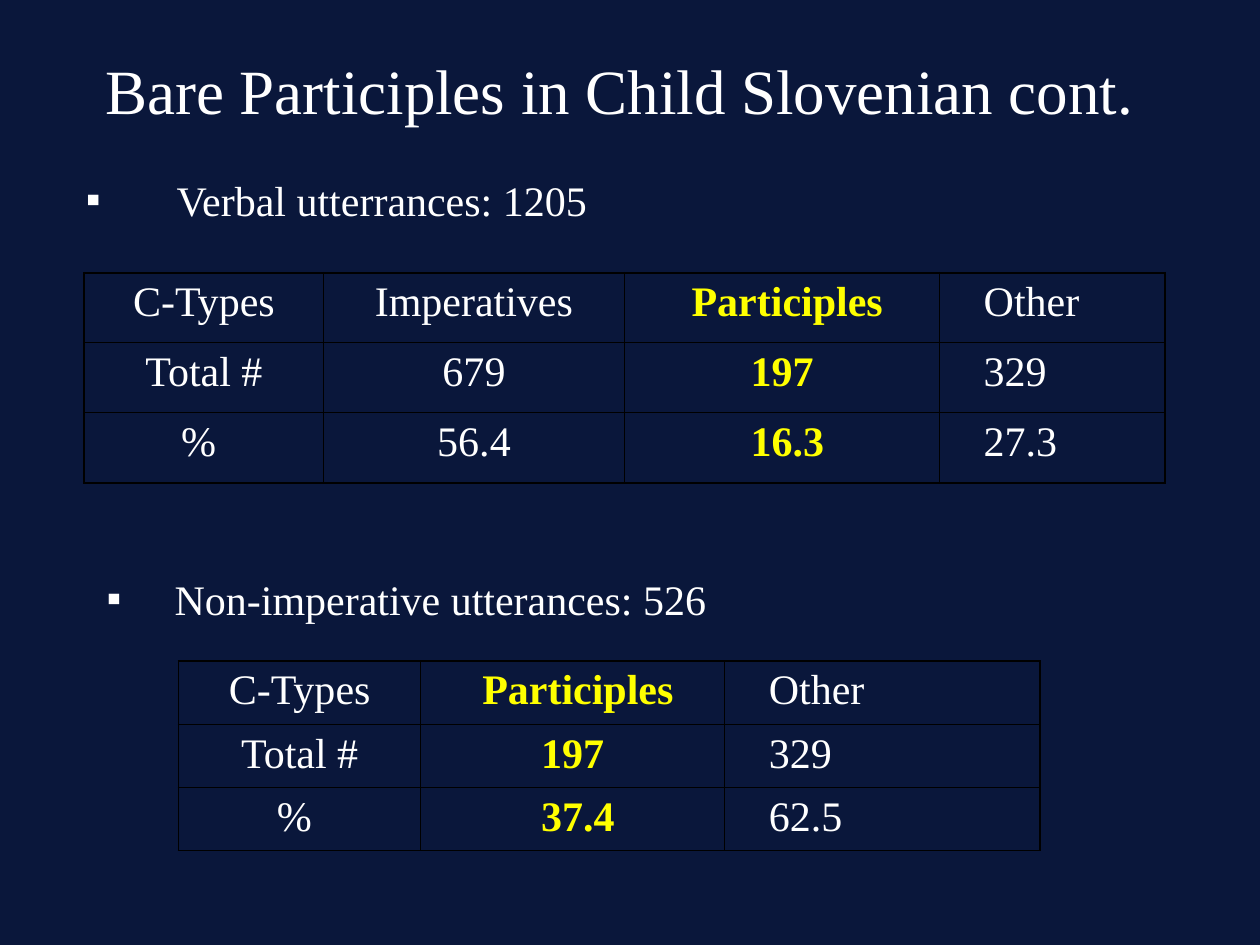
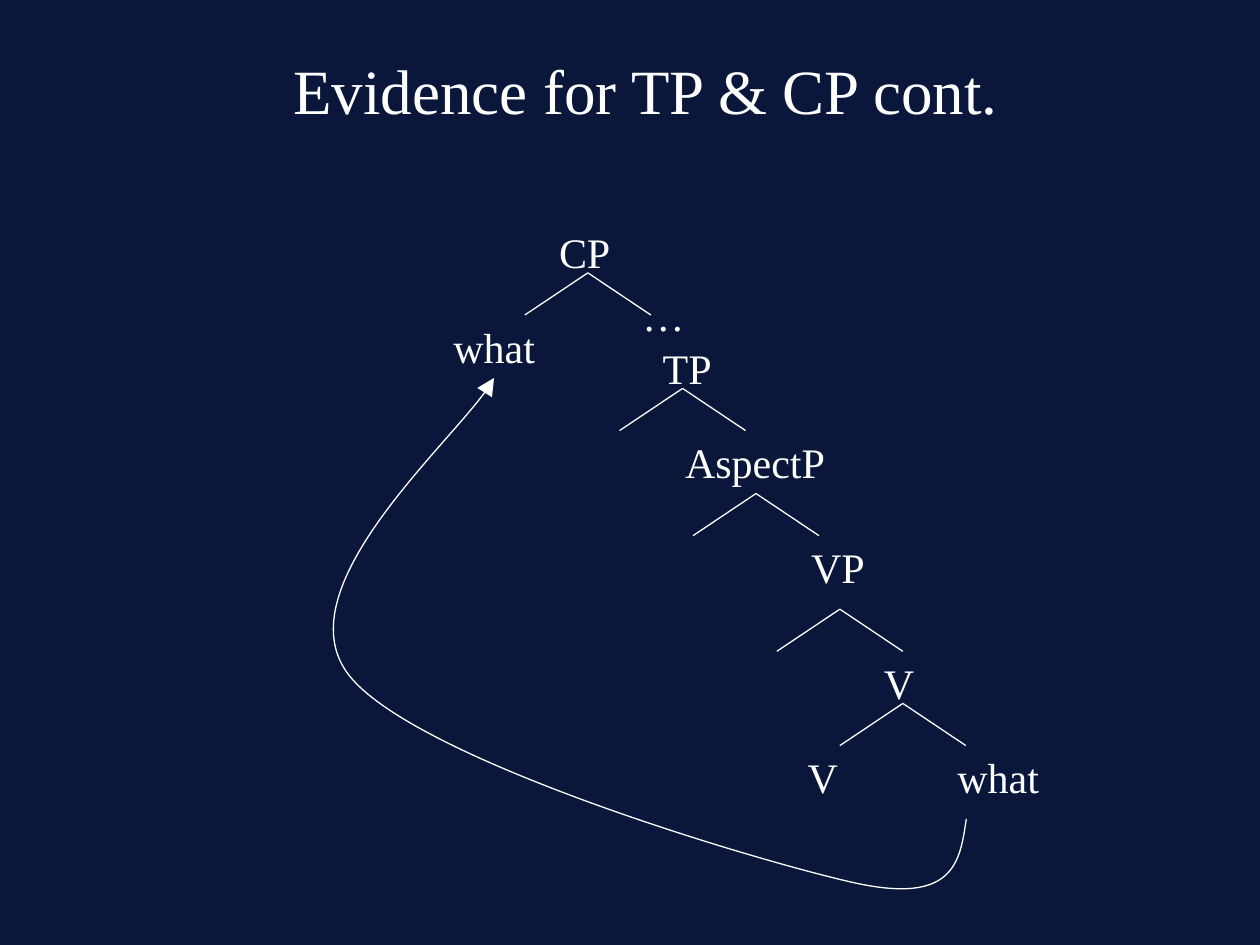
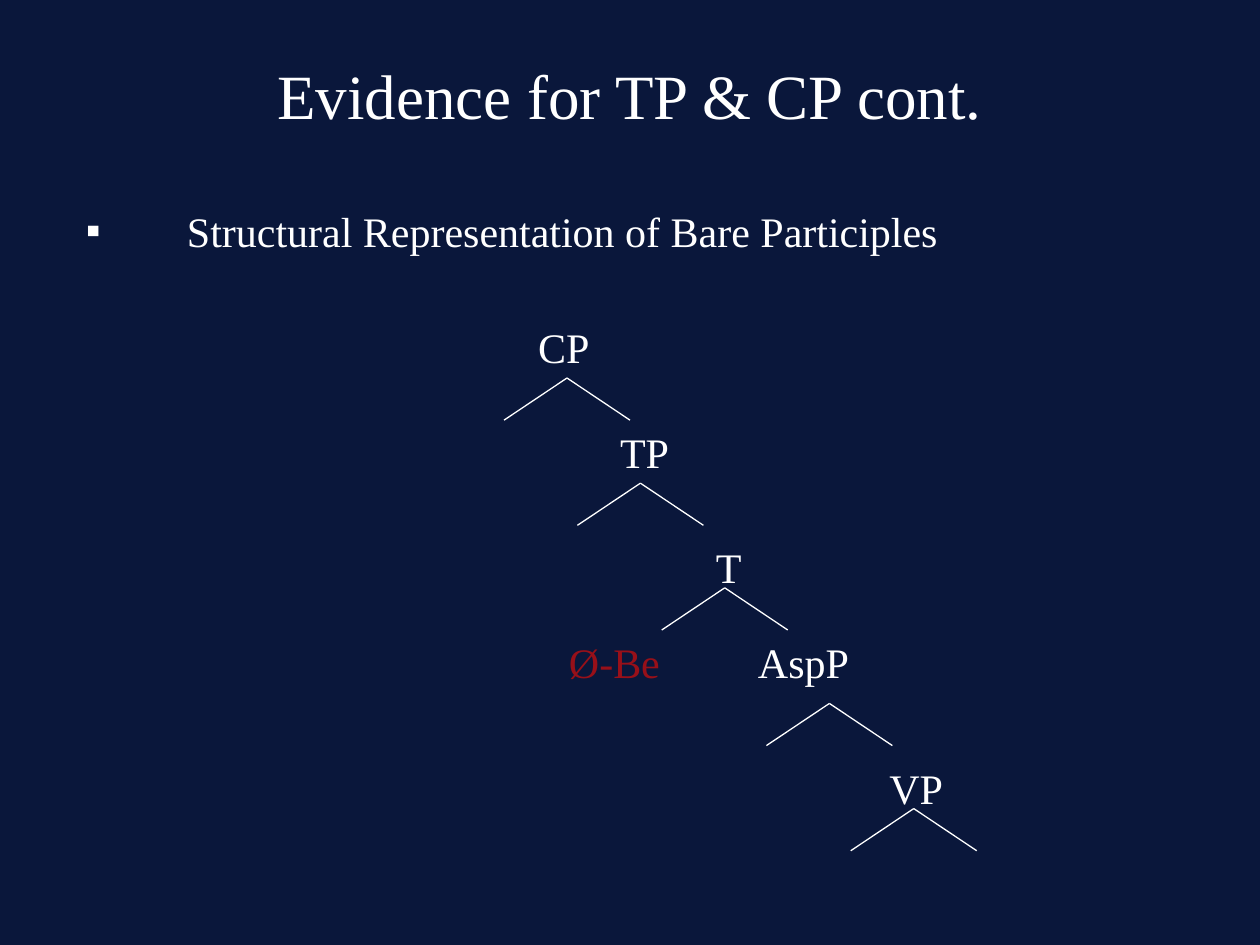
from dataclasses import dataclass

from lxml import etree
from pptx import Presentation
from pptx.dml.color import RGBColor
from pptx.enum.shapes import MSO_CONNECTOR
from pptx.enum.text import MSO_ANCHOR, MSO_AUTO_SIZE, PP_ALIGN
from pptx.oxml.ns import qn
from pptx.util import Cm, Pt

STRAIGHT = MSO_CONNECTOR.STRAIGHT
MIDDLE = MSO_ANCHOR.MIDDLE
FIT_SHAPE = MSO_AUTO_SIZE.SHAPE_TO_FIT_TEXT
LEFT, CENTER = PP_ALIGN.LEFT, PP_ALIGN.CENTER


@dataclass(frozen=True)
class Theme:
    """Colours, type sizes and line widths of the deck."""
    background: str = "0A173B"
    text: str = "FFFFFF"
    highlight: str = "FFFF00"
    omitted: str = "981019"
    border: str = "000000"
    font: str = "Times New Roman"
    title_size: int = 36
    body_size: int = 24
    line_width: float = 0.75
    inner_border: float = 0.45
    outer_border: float = 1.08


THEME = Theme()
BLANK_LAYOUT = 6
LABEL_HEIGHT = 1.27
LABEL_WIDTHS = {
    "CP": 1.55, "TP": 1.5, "T": 1.01, "VP": 1.62, "V": 1.12, "AspP": 2.34,
    "AspectP": 3.33, "what": 2.16, "…": 1.35, "Ø-Be": 2.34,
}
BRANCH_REACH, BRANCH_DROP = 1.27, 0.85
OTHER_INDENT = 0.89

UTTERANCE_ROWS = [
    ["C-Types", "Imperatives", " Participles", "Other"],
    ["Total #", "679", "197", "329"],
    ["% ", "56.4", " 16.3", "27.3"],
]
NON_IMPERATIVE_ROWS = [
    ["C-Types", " Participles", "Other"],
    ["Total #", "197", "329"],
    ["% ", " 37.4", "62.5"],
]
MOVEMENT_APEXES = [(11.85, 5.5), (13.76, 7.83), (15.24, 9.95), (16.93, 12.28), (18.2, 14.18)]
MOVEMENT_LABELS = [
    ("CP", 11.02, 4.45), ("what", 8.89, 6.35), ("…", 12.7, 5.72),
    ("TP", 13.11, 6.77), ("AspectP", 13.56, 8.68), ("VP", 16.1, 10.8),
    ("V", 17.57, 13.12), ("V", 16.03, 15.03), ("what", 19.05, 15.03),
]
MOVEMENT_CURVE = [
    (19.48, 16.51), (19.35, 17.4), (19.23, 18.26), (17.15, 17.78), (15.06, 17.3),
    (8.18, 15.24), (6.99, 13.55), (5.79, 11.85), (9.45, 8.61), (9.96, 7.62),
]
PARTICIPLE_APEXES = [(11.43, 7.62), (12.91, 9.74), (14.61, 11.85), (16.72, 14.18), (18.42, 16.3)]
PARTICIPLE_LABELS = [
    ("CP", 10.6, 6.35), ("TP", 12.25, 8.47), ("T", 14.18, 10.8),
    ("AspP", 15.03, 12.7), ("VP", 17.68, 15.24),
]


def color(value):
    """Turn a hex string into a colour."""
    return RGBColor.from_string(value)


def write(paragraph, text, size=THEME.body_size, fill=THEME.text, bold=False):
    """Add one styled run to a paragraph."""
    run = paragraph.add_run()
    run.text = text
    run.font.name = THEME.font
    run.font.size = Pt(size)
    run.font.bold = bold
    run.font.color.rgb = color(fill)


def add_text_frame(slide, left, top, width, height):
    """Add a wrapping text box and return its text frame."""
    box = slide.shapes.add_textbox(Cm(left), Cm(top), Cm(width), Cm(height))
    box.text_frame.word_wrap = True
    return box.text_frame


def add_title(slide, text, left, top, height):
    """Add the centred slide title."""
    frame = add_text_frame(slide, left, top, 21.59, height)
    frame.vertical_anchor = MIDDLE
    paragraph = frame.paragraphs[0]
    paragraph.alignment = CENTER
    write(paragraph, text, THEME.title_size)


def add_bullet(slide, text, left, top, width, height, indent):
    """Add a square bullet line with a hanging indent."""
    paragraph = add_text_frame(slide, left, top, width, height).paragraphs[0]
    properties = paragraph._p.get_or_add_pPr()
    properties.set("marL", str(Cm(indent)))
    properties.set("indent", str(-Cm(indent)))
    bullet_color = etree.SubElement(properties, qn("a:buClr"))
    etree.SubElement(bullet_color, qn("a:srgbClr"), val=THEME.text)
    etree.SubElement(properties, qn("a:buFont"), typeface=THEME.font)
    etree.SubElement(properties, qn("a:buChar"), char="▪")
    write(paragraph, text)


def add_label(slide, text, left, top, fill=THEME.text):
    """Add a tree node label."""
    frame = add_text_frame(slide, left, top, LABEL_WIDTHS[text], LABEL_HEIGHT)
    frame.word_wrap = False
    frame.auto_size = FIT_SHAPE
    write(frame.paragraphs[0], text, fill=fill)


def style_line(line):
    """Give a line the tree colour and width."""
    line.color.rgb = color(THEME.text)
    line.width = Pt(THEME.line_width)


def add_branches(slide, x, y):
    """Add the two branches that descend from an apex."""
    for reach in (-BRANCH_REACH, BRANCH_REACH):
        branch = slide.shapes.add_connector(
            STRAIGHT, Cm(x), Cm(y), Cm(x + reach), Cm(y + BRANCH_DROP))
        style_line(branch.line)
        etree.SubElement(branch._element.spPr, qn("a:effectLst"))


def add_tree(slide, apexes, labels):
    """Add a syntax tree from its apexes and labels."""
    for apex in apexes:
        add_branches(slide, *apex)
    for label in labels:
        add_label(slide, *label)


def add_curved_arrow(slide, points):
    """Add an open Bézier arrow from a start and triples of points."""
    start, *rest = [(Cm(x), Cm(y)) for x, y in points]
    builder = slide.shapes.build_freeform(*start)
    builder.add_line_segments(rest, close=False)
    shape = builder.convert_to_shape()
    shape.shadow.inherit = False
    shape.fill.background()
    style_line(shape.line)
    etree.SubElement(shape.line._get_or_add_ln(), qn("a:tailEnd"),
                     type="triangle", w="lg", len="lg")
    segments = shape._element.findall(".//" + qn("a:lnTo"))
    for first in range(0, len(segments), 3):
        curve = etree.Element(qn("a:cubicBezTo"))
        segments[first].addprevious(curve)
        for segment in segments[first:first + 3]:
            curve.append(segment[0])
            segment.getparent().remove(segment)


def set_borders(cell, outer_sides):
    """Draw the four cell borders, heavier on the outer sides."""
    properties = cell._tc.get_or_add_tcPr()
    for side in "LRTB":
        width = THEME.outer_border if side in outer_sides else THEME.inner_border
        line = etree.SubElement(properties, qn(f"a:ln{side}"), w=str(Pt(width)))
        fill = etree.SubElement(line, qn("a:solidFill"))
        etree.SubElement(fill, qn("a:srgbClr"), val=THEME.border)


def add_count_table(slide, rows, left, top, widths, row_height):
    """Add a table of counts with the participle column highlighted."""
    last_row, last_column = len(rows) - 1, len(widths) - 1
    table = slide.shapes.add_table(
        len(rows), len(widths), Cm(left), Cm(top),
        Cm(sum(widths)), Cm(row_height * len(rows))).table
    table.first_row = table.horz_banding = False
    for column, width in zip(table.columns, widths):
        column.width = Cm(width)
    for r, values in enumerate(rows):
        table.rows[r].height = Cm(row_height)
        for c, value in enumerate(values):
            cell = table.cell(r, c)
            edges = {"L": c == 0, "R": c == last_column, "T": r == 0, "B": r == last_row}
            set_borders(cell, [side for side, outer in edges.items() if outer])
            cell.fill.background()
            paragraph = cell.text_frame.paragraphs[0]
            paragraph.alignment = CENTER
            if c == last_column:
                paragraph.alignment = LEFT
                cell.margin_left = Cm(OTHER_INDENT)
            highlighted = c == last_column - 1
            write(paragraph, value, bold=highlighted,
                  fill=THEME.highlight if highlighted else THEME.text)


def build_counts(slide):
    """Build the slide with the participle counts."""
    add_title(slide, "Bare Participles in Child Slovenian cont.", 1.7, 1.07, 1.47)
    add_bullet(slide, "Verbal utterrances: 1205", 1.48, 3.39, 22.23, 14.6, 1.83)
    add_count_table(slide, UTTERANCE_ROWS, 1.7, 5.5, [4.82, 6.07, 6.35, 4.55], 1.41)
    add_count_table(slide, NON_IMPERATIVE_ROWS, 3.6, 13.33, [4.88, 6.13, 6.35], 1.27)
    add_bullet(slide, "Non-imperative utterances: 526", 1.9, 11.43, 21.17, 1.27, 1.37)


def build_movement(slide):
    """Build the slide with the wh-movement tree."""
    add_title(slide, "Evidence for TP & CP cont.", 2.22, 1.27, 1.06)
    add_curved_arrow(slide, MOVEMENT_CURVE)
    add_tree(slide, MOVEMENT_APEXES, MOVEMENT_LABELS)


def build_participles(slide):
    """Build the slide with the bare participle tree."""
    add_title(slide, "Evidence for TP & CP cont.", 1.9, 1.27, 1.27)
    add_bullet(slide, "Structural Representation of Bare Participles",
               1.48, 4.02, 22.23, 13.34, 2.04)
    add_tree(slide, PARTICIPLE_APEXES, PARTICIPLE_LABELS)
    add_label(slide, "Ø-Be", 11.22, 12.7, THEME.omitted)


def main():
    """Build and save the presentation."""
    presentation = Presentation()
    presentation.slide_width, presentation.slide_height = Cm(25.4), Cm(19.05)
    background = presentation.slide_master.background.fill
    background.solid()
    background.fore_color.rgb = color(THEME.background)
    for build in (build_counts, build_movement, build_participles):
        build(presentation.slides.add_slide(presentation.slide_layouts[BLANK_LAYOUT]))
    presentation.save("out.pptx")


if __name__ == "__main__":
    main()
